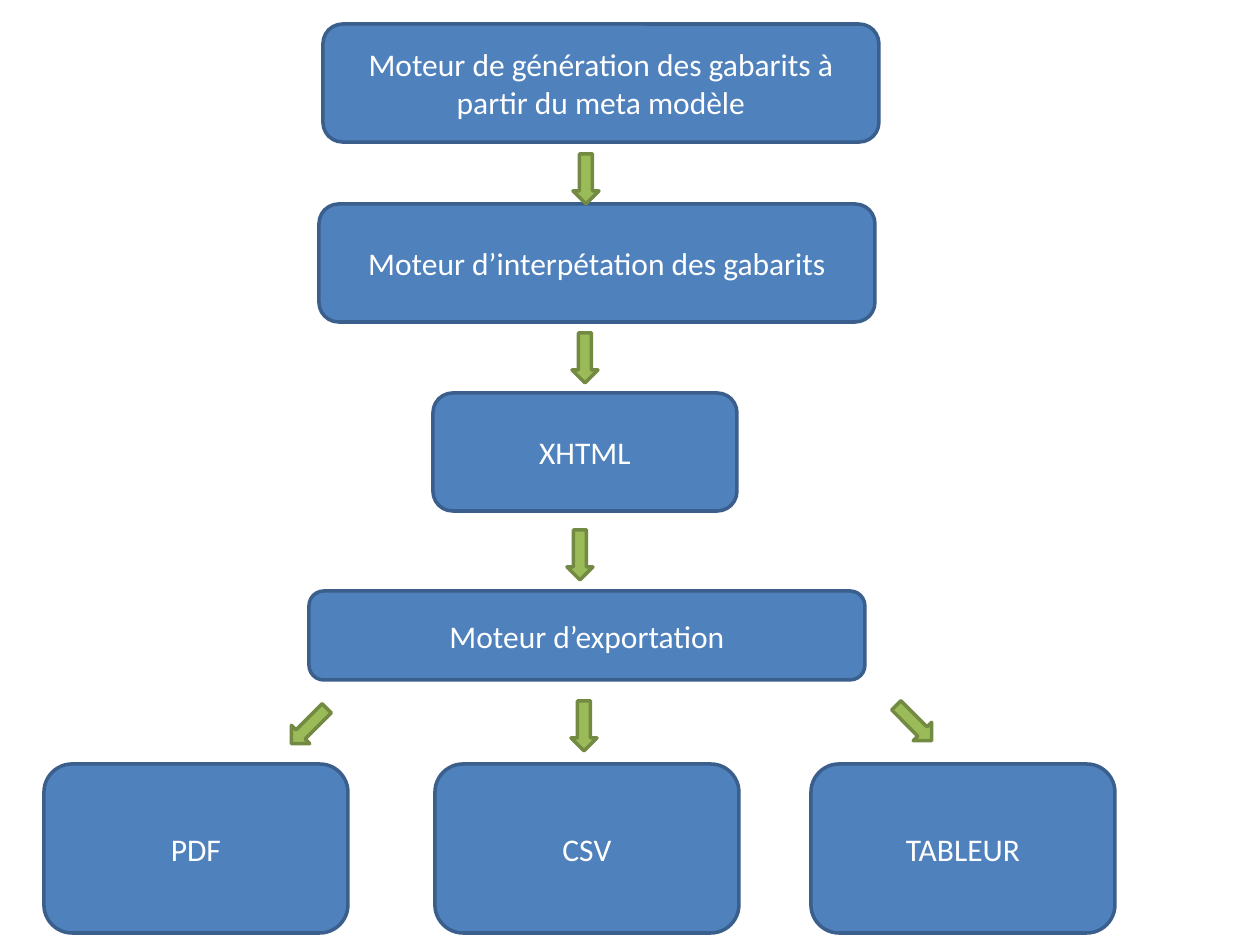
from pptx import Presentation
from pptx.dml.color import RGBColor
from pptx.enum.shapes import MSO_SHAPE
from pptx.enum.text import MSO_ANCHOR, PP_ALIGN
from pptx.util import Pt

ROUND, DOWN = MSO_SHAPE.ROUNDED_RECTANGLE, MSO_SHAPE.DOWN_ARROW
MIDDLE, CENTER = MSO_ANCHOR.MIDDLE, PP_ALIGN.CENTER

SCALE = 914400 / 126
HUES = {
    "box": "4F81BD",
    "edge": "3A5F8C",
    "arrow": "9BBB59",
    "rim": "738A42",
    "text": "FFFFFF",
}
FONT = {"name": "Calibri", "size": Pt(18)}
FRAME = {"word_wrap": True, "vertical_anchor": MIDDLE}

WIDE, SLIM = 556, 304
ARROW = (26, 50)
STEPS = [
    ("Moteur de génération des gabarits à partir du meta modèle", 14, 0, WIDE, 118),
    ("Moteur d’interpétation des gabarits", 10, 180, WIDE, 118),
    ("XHTML", 124, 369, SLIM, 118),
    ("Moteur d’exportation", 0, 567, WIDE, 89),
]
LINKS = [(264, 130), (263, 309), (258, 506)]
FORMATS = [("PDF", 0), ("CSV", 391), ("TABLEUR", 767)]
BRANCHES = [(252, 3, 45), (527, 3, 0), (857, 0, 315)]


def emu(px):
    return round(px * SCALE)


def hue(key):
    return RGBColor.from_string(HUES[key])


def apply(target, values):
    for key, value in values.items():
        setattr(target, key, value)


def shape(slide, kind, box, fill, line):
    item = slide.shapes.add_shape(kind, *map(emu, box))
    item.shadow.inherit = False
    item.fill.solid()
    item.fill.fore_color.rgb = hue(fill)
    item.line.color.rgb = hue(line)
    item.line.width = Pt(2)
    return item


def node(slide, text, box):
    frame = shape(slide, ROUND, box, "box", "edge").text_frame
    apply(frame, FRAME)
    para = frame.paragraphs[0]
    para.alignment = CENTER
    run = para.add_run()
    run.text = text
    apply(run.font, FONT)
    run.font.color.rgb = hue("text")


def arrow(slide, x, y, turn=0):
    shape(slide, DOWN, (x, y, *ARROW), "arrow", "rim").rotation = turn


def flow(slide, left, top):
    for text, x, y, width, height in STEPS:
        node(slide, text, (left + x, top + y, width, height))
    for x, y in LINKS:
        arrow(slide, left + x, top + y)


def exports(slide, left, top):
    for text, x in FORMATS:
        node(slide, text, (left + x, top + 66, SLIM, 169))
    for x, y, turn in BRANCHES:
        arrow(slide, left + x, top + y, turn)


deck = Presentation()
apply(deck, {"slide_width": emu(1260), "slide_height": emu(945)})
page = deck.slides.add_slide(deck.slide_layouts[6])
flow(page, 309, 24)
exports(page, 44, 698)
deck.save("out.pptx")
